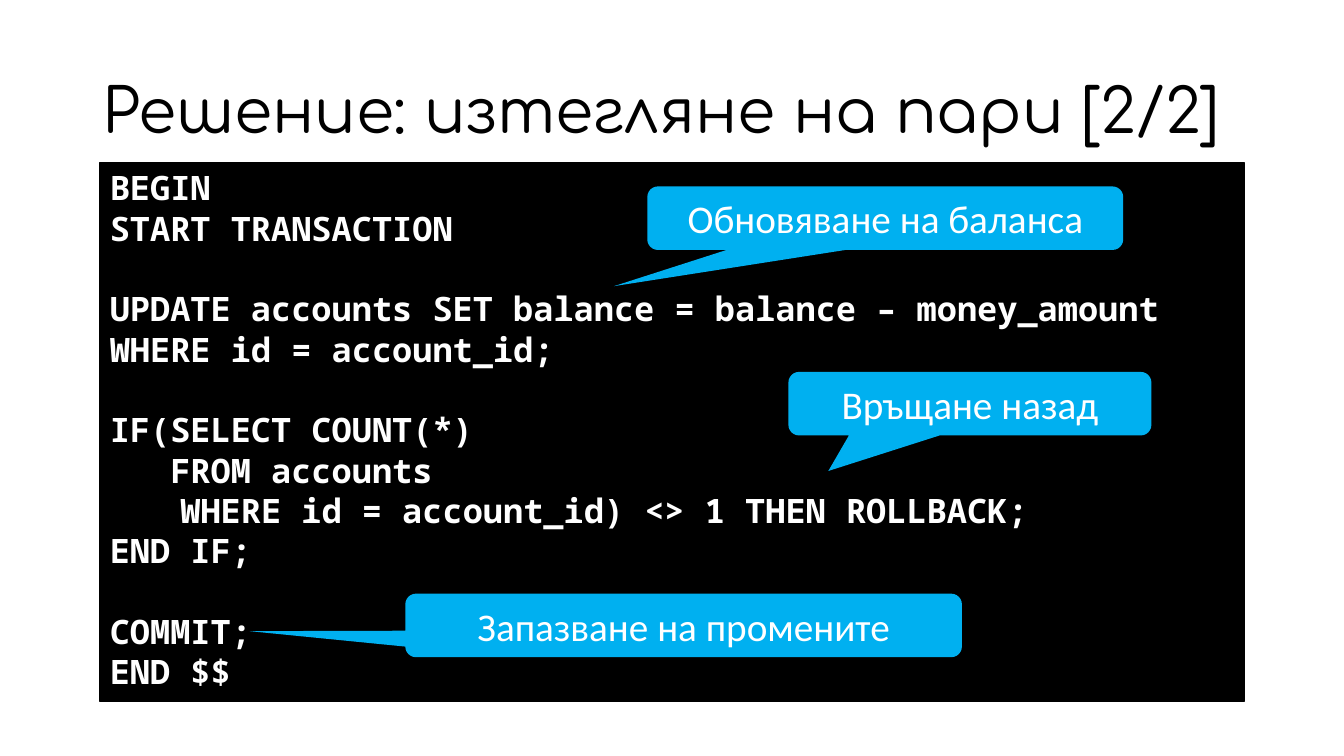
import pptx
import pptx.dml.color
import pptx.enum.shapes
import pptx.enum.text
import pptx.oxml
import pptx.util
from pptx.oxml.ns import nsdecls

Inches = pptx.util.Inches
Pt = pptx.util.Pt
RGBColor = pptx.dml.color.RGBColor
Shape = pptx.enum.shapes.MSO_SHAPE
Align = pptx.enum.text.PP_ALIGN
Anchor = pptx.enum.text.MSO_ANCHOR

BLACK = RGBColor(0x00, 0x00, 0x00)
WHITE = RGBColor(0xFF, 0xFF, 0xFF)
SKY = RGBColor(0x00, 0xB0, 0xF0)

TITLE = "Решение: изтегляне на пари [2/2]"
CODE_BLOCKS = [
    ["BEGIN", "START TRANSACTION"],
    ["UPDATE accounts SET balance = balance – money_amount",
     "WHERE id = account_id;"],
    ["IF(SELECT COUNT(*)",
     "   FROM accounts",
     "\t WHERE id = account_id) <> 1 THEN ROLLBACK;",
     "END IF;"],
    ["COMMIT;", "END $$"],
]
CALLOUTS = [
    ("Обновяване на баланса", 6.42, 1.85, 4.72, (-0.57, 1.07)),
    ("Връщане назад", 7.82, 3.69, 3.6, (-0.39, 1.06)),
    ("Запазване на промените", 4.02, 5.89, 5.52, (-0.78, 0.09)),
]
CALLOUT_HEIGHT = 0.63
CODE_LINE_PITCH = Pt(28.8)
CODE_TAB = Inches(0.5)


def write(frame, text, *, font, size, color, bold=False, align=Align.LEFT,
          anchor=Anchor.MIDDLE, spacing=None, before=None, tab=None, new=False):
    frame.word_wrap = True
    frame.vertical_anchor = anchor
    paragraph = frame.add_paragraph() if new else frame.paragraphs[0]
    paragraph.alignment = align
    if spacing:
        paragraph.line_spacing = spacing
    if before:
        paragraph.space_before = before
    if tab:
        paragraph._p.get_or_add_pPr().append(pptx.oxml.parse_xml(
            f'<a:tabLst {nsdecls("a")}><a:tab pos="{tab}" algn="l"/></a:tabLst>'))
    run = paragraph.add_run()
    run.text = text
    run.font.name = font
    run.font.size = Pt(size)
    run.font.bold = bold
    run.font.color.rgb = color


def add_filled(slide, preset, left, top, width, height, fill):
    shape = slide.shapes.add_shape(
        preset, Inches(left), Inches(top), Inches(width), Inches(height))
    shape.shadow.inherit = False
    shape.fill.solid()
    shape.fill.fore_color.rgb = fill
    shape.line.fill.background()
    return shape


def main():
    deck = pptx.Presentation()
    deck.slide_width = Inches(13.33)
    deck.slide_height = Inches(7.5)
    slide = deck.slides.add_slide(deck.slide_layouts[6])

    code = add_filled(slide, Shape.RECTANGLE, 0.99, 1.61, 11.35, 5.35, BLACK)
    code.line.color.rgb = BLACK
    code.line.width = Pt(1)
    for block_index, block in enumerate(CODE_BLOCKS):
        for line_index, line in enumerate(block):
            starts_block = block_index > 0 and line_index == 0
            write(code.text_frame, line, font="Noto Sans Mono", size=24,
                  color=WHITE, bold=True, anchor=Anchor.TOP,
                  before=CODE_LINE_PITCH if starts_block else None,
                  tab=CODE_TAB if "\t" in line else None,
                  new=block_index + line_index > 0)

    for label, left, top, width, tip in CALLOUTS:
        callout = add_filled(slide, Shape.ROUNDED_RECTANGULAR_CALLOUT,
                             left, top, width, CALLOUT_HEIGHT, SKY)
        callout.adjustments[0], callout.adjustments[1] = tip
        write(callout.text_frame, label, font="Calibri", size=28,
              color=WHITE, align=Align.CENTER)

    title = slide.shapes.add_textbox(
        Inches(0.92), Inches(0.4), Inches(11.5), Inches(1.45))
    write(title.text_frame, TITLE, font="Comfortaa", size=44,
          color=BLACK, spacing=0.9)

    deck.save("out.pptx")


if __name__ == "__main__":
    main()
